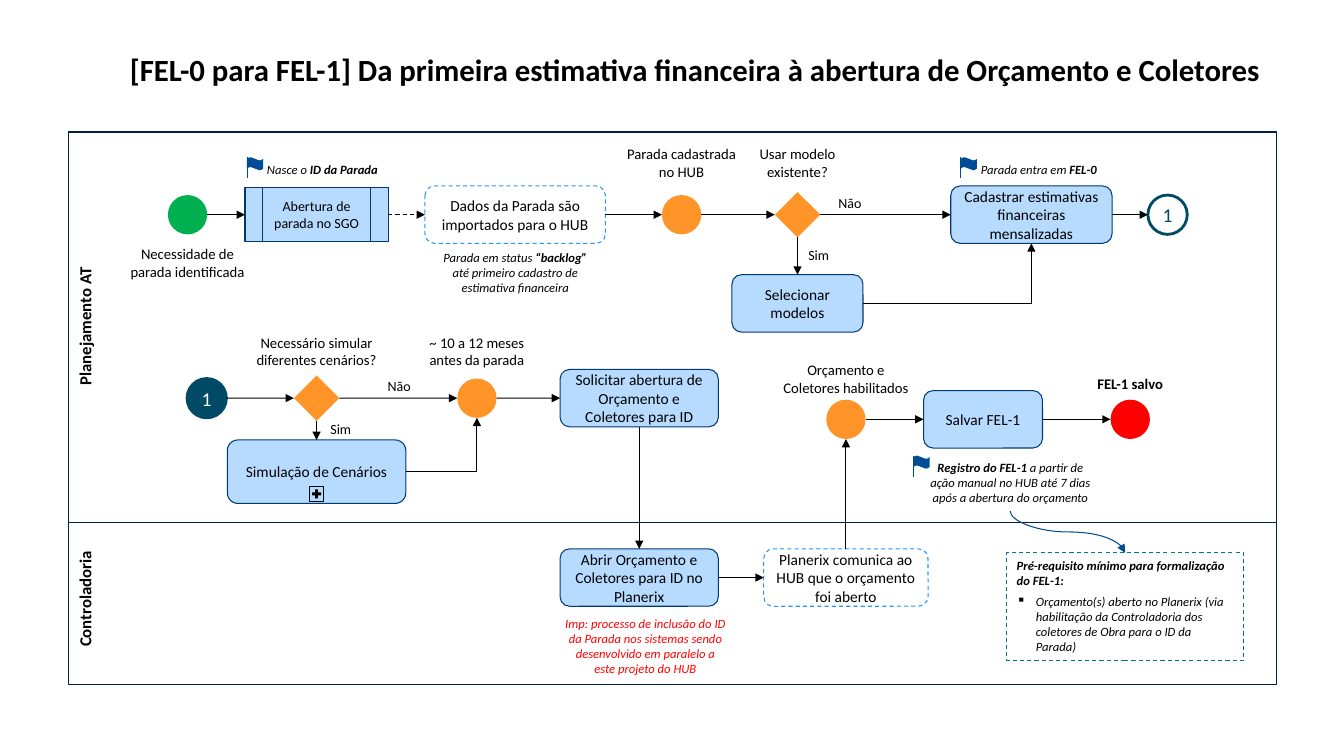
from dataclasses import dataclass
from typing import Any

from lxml.etree import SubElement
from pptx import Presentation
from pptx.dml.color import RGBColor
from pptx.enum.dml import MSO_LINE
from pptx.enum.shapes import MSO_CONNECTOR, MSO_SHAPE
from pptx.enum.text import MSO_ANCHOR, PP_ALIGN
from pptx.oxml.ns import qn
from pptx.util import Inches, Pt

COLORS = {
    "black": "000000", "white": "FFFFFF", "red": "FF0000", "green": "00B050",
    "orange": "FF9529", "task": "B7DBFF", "task line": "003971",
    "automatic line": "2894FF", "lane line": "002142", "page link": "014A65",
    "flag": "004C97", "flag line": "004A94", "requirement line": "03738E",
}
CIRCLE, DIAMOND, TASK_HEIGHT = 0.39, 0.45, 0.57
SIDES = {"top": (0.5, 0), "left": (0, 0.5), "bottom": (0.5, 1), "right": (1, 0.5)}


def color(name):
    return RGBColor.from_string(COLORS[name])


def write(paragraph, runs, size, ink="black", bold=False, italic=False, align=PP_ALIGN.CENTER):
    """Fill a paragraph from a string, or from (text, bold) pairs."""
    paragraph.alignment = align
    font = paragraph.font
    font.name, font.size, font.italic = "Calibri", Pt(size), italic
    font.color.rgb = color(ink)
    if isinstance(runs, str):
        font.bold = bold
        paragraph.add_run().text = runs
        return
    for text, strong in runs:
        run = paragraph.add_run()
        run.text = text
        run.font.bold = strong


def edge(shape, side):
    across, down = SIDES[side]
    return shape.left + int(shape.width * across), shape.top + int(shape.height * down)


def connect(slide, start, end, line="black", kind=MSO_CONNECTOR.STRAIGHT, arrow=True, dash=None):
    connector = slide.shapes.add_connector(kind, *start, *end)
    connector.line.color.rgb = color(line)
    connector.line.width = Pt(0.75)
    if dash:
        connector.line.dash_style = dash
    if arrow:
        SubElement(connector.line._get_or_add_ln(), qn("a:tailEnd"), type="triangle")
    SubElement(connector._element.spPr, qn("a:effectLst"))
    return connector


def link(slide, source, target, leave="right", enter="left", dash=None):
    connect(slide, edge(source, leave), edge(target, enter), dash=dash)


def corner_link(slide, source, target):
    """Go right from the source, then up into the target."""
    connector = connect(slide, edge(source, "right"), edge(target, "bottom"), kind=MSO_CONNECTOR.ELBOW)
    connector._element.spPr.find(qn("a:prstGeom")).set("prst", "bentConnector2")


def curve_link(slide, start, target):
    """Leave downwards and enter the target from above, on an S curve."""
    end = edge(target, "top")
    connector = connect(slide, start, end, "flag line", MSO_CONNECTOR.CURVE)
    width, height = end[0] - start[0], end[1] - start[1]
    connector.left = start[0] + (width - height) // 2
    connector.top = start[1] + (height - width) // 2
    connector.width, connector.height = height, width
    transform = connector._element.spPr.find(qn("a:xfrm"))
    transform.set("rot", "16200000")
    transform.set("flipH", "1")


@dataclass
class Region:
    """A box of the slide; parts are placed in inches from its top left corner."""
    slide: Any
    left: float
    top: float
    width: float
    height: float

    def place(self, x, y):
        return Inches(self.left + x), Inches(self.top + y)

    def shape(self, kind, x, y, width, height, fill=None, line=None, weight=0.75, dash=None):
        """Add a preset shape centred on x, y."""
        shape = self.slide.shapes.add_shape(
            kind, *self.place(x - width / 2, y - height / 2), Inches(width), Inches(height))
        shape.shadow.inherit = False
        if fill:
            shape.fill.solid()
            shape.fill.fore_color.rgb = color(fill)
        else:
            shape.fill.background()
        if line:
            shape.line.color.rgb = color(line)
            shape.line.width = Pt(weight)
            if dash:
                shape.line.dash_style = dash
        else:
            shape.line.fill.background()
        return shape

    def frame(self):
        self.shape(MSO_SHAPE.RECTANGLE, self.width / 2, self.height / 2, self.width, self.height, line="lane line")

    def label(self, runs, x, top, width, height=0.45, size=10.5, anchor=MSO_ANCHOR.TOP, **style):
        """Add a text box centred on x."""
        box = self.slide.shapes.add_textbox(*self.place(x - width / 2, top), Inches(width), Inches(height))
        box.text_frame.word_wrap = True
        box.text_frame.vertical_anchor = anchor
        write(box.text_frame.paragraphs[0], runs, size, **style)
        return box

    def lane_name(self, text, middle):
        self.label(text, 0.16, middle - 0.15, 1.4, 0.3, 12, bold=True).rotation = 270

    def task(self, text, x, y, width, height=TASK_HEIGHT, automatic=False,
             kind=MSO_SHAPE.ROUNDED_RECTANGLE, size=11):
        look = ("white", "automatic line", 0.75, MSO_LINE.DASH) if automatic else ("task", "task line")
        shape = self.shape(kind, x, y, width, height, *look)
        shape.text_frame.word_wrap = True
        shape.text_frame.vertical_anchor = MSO_ANCHOR.MIDDLE
        write(shape.text_frame.paragraphs[0], text, size)
        return shape

    def event(self, x, y, fill="orange"):
        return self.shape(MSO_SHAPE.OVAL, x, y, CIRCLE, CIRCLE, fill)

    def decision(self, x, y):
        return self.shape(MSO_SHAPE.DIAMOND, x, y, DIAMOND, DIAMOND, "orange")

    def page_link(self, x, y, fill, ink):
        shape = self.shape(MSO_SHAPE.OVAL, x, y, CIRCLE, CIRCLE, fill, "page link", 2)
        frame = shape.text_frame
        frame.margin_left = frame.margin_right = frame.margin_top = frame.margin_bottom = 0
        frame.vertical_anchor = MSO_ANCHOR.MIDDLE
        write(frame.paragraphs[0], "1", 14, ink)
        return shape

    def flag(self, x, y):
        self.shape(MSO_SHAPE.WAVE, x + 0.08, y + 0.065, 0.16, 0.13, "flag")
        connect(self.slide, self.place(x, y), self.place(x, y + 0.21), "flag line", arrow=False)


def estimate_flow(region):
    slide, y = region.slide, 0.82
    need = region.event(1.18, y, "green")
    opening = region.task("Abertura de parada no SGO", 2.46, y, 1.42, 0.54,
                          kind=MSO_SHAPE.FLOWCHART_PREDEFINED_PROCESS, size=10)
    imported = region.task("Dados da Parada são importados para o HUB", 4.43, y, 1.79, automatic=True)
    registered = region.event(6.08, y)
    model = region.decision(7.23, y)
    estimates = region.task("Cadastrar estimativas financeiras mensalizadas", 9.55, y, 1.6)
    following = region.page_link(10.9, y, "white", "page link")
    selection = region.task("Selecionar modelos", 7.23, 1.7, 1.3)
    link(slide, need, opening)
    link(slide, opening, imported, dash=MSO_LINE.DASH)
    steps = [imported, registered, model, estimates, following]
    for source, target in zip(steps, steps[1:]):
        link(slide, source, target)
    link(slide, model, selection, "bottom", "top")
    corner_link(slide, selection, estimates)
    region.label("Necessidade de parada identificada", 1.18, 1.07, 1.4)
    region.label("Parada cadastrada no HUB", 6.08, 0.08, 1.4)
    region.label("Usar modelo existente?", 7.23, 0.08, 1.05)
    region.label("Não", 7.75, 0.57, 0.54, 0.27, 10)
    region.label("Sim", 7.44, 1.09, 0.54, 0.27, 10)
    region.label([("Parada em status ", False), ("“backlog” ", True),
                  ("até primeiro cadastro de estimativa financeira", False)],
                 4.43, 1.12, 1.79, 0.56, 9, italic=True)
    for x, start, name in ((1.77, "Nasce o ", "ID da Parada"), (8.85, "Parada entra em ", "FEL-0")):
        region.flag(x, 0.25)
        region.label([(start, False), (name, True)], x + 0.8, 0.25, 1.4, 0.25, 9,
                     italic=True, align=PP_ALIGN.LEFT)


def budget_flow(region):
    """Return the steps that exchange arrows with the lane below."""
    slide, y, saving_y = region.slide, 0.69, 0.9
    previous = region.page_link(1.37, y, "page link", "white")
    scenarios = region.decision(2.46, y)
    months = region.event(4.05, y)
    request = region.task("Solicitar abertura de Orçamento e Coletores para ID", 5.66, y, 1.57)
    simulation = region.task("Simulação de Cenários", 2.46, 1.42, 1.77, 0.63)
    region.shape(MSO_SHAPE.MATH_PLUS, 2.46, 1.64, 0.12, 0.12, "black")
    region.shape(MSO_SHAPE.RECTANGLE, 2.46, 1.64, 0.14, 0.14, line="black", weight=0.5)
    enabled = region.event(7.71, saving_y)
    saving = region.task("Salvar FEL-1", 9.07, saving_y, 1.18)
    saved = region.event(10.53, saving_y, "red")
    for steps in ([previous, scenarios, months, request], [enabled, saving, saved]):
        for source, target in zip(steps, steps[1:]):
            link(slide, source, target)
    link(slide, scenarios, simulation, "bottom", "top")
    corner_link(slide, simulation, months)
    region.label("Necessário simular diferentes cenários?", 2.46, 0, 1.54)
    region.label("~ 10 a 12 meses antes da parada", 4.05, 0, 1.16)
    region.label("Sim", 2.7, 0.86, 0.54, 0.25, 10)
    region.label("Não", 3.28, 0.44, 0.54, 0.27, 10)
    region.label("Orçamento e Coletores habilitados", 7.71, 0.27, 1.54)
    region.label("FEL-1 salvo", 10.53, 0.41, 1.16, 0.28, bold=True)
    region.flag(8.38, 1.26)
    note = region.label([("Registro do FEL-1 ", True),
                         ("a partir de ação manual no HUB até 7 dias após a abertura do orçamento", False)],
                        9.34, 1.25, 1.87, 0.56, 9, italic=True)
    return request, enabled, note


def requirement(region):
    shape = region.shape(MSO_SHAPE.RECTANGLE, 10.48, 0.84, 2.35, 1.07,
                         line="requirement line", dash=MSO_LINE.DASH)
    frame = shape.text_frame
    frame.word_wrap = True
    frame.vertical_anchor = MSO_ANCHOR.TOP
    write(frame.paragraphs[0], "Pré-requisito mínimo para formalização do FEL-1:", 9,
          bold=True, italic=True, align=PP_ALIGN.LEFT)
    item = frame.add_paragraph()
    item.space_before = Pt(4)
    properties = item._p.get_or_add_pPr()
    properties.set("marL", str(Inches(0.19)))
    properties.set("indent", str(-Inches(0.19)))
    SubElement(properties, qn("a:buChar"), char="▪")
    write(item, "Orçamento(s) aberto no Planerix (via habilitação da Controladoria dos "
          "coletores de Obra para o ID da Parada)", 9, italic=True, align=PP_ALIGN.LEFT)
    return shape


def controller_flow(region, request, enabled, note):
    slide, y = region.slide, 0.55
    opening = region.task("Abrir Orçamento e Coletores para ID no Planerix", 5.66, y, 1.57)
    notice = region.task("Planerix comunica ao HUB que o orçamento foi aberto", 7.71, y, 1.63, automatic=True)
    link(slide, request, opening, "bottom", "top")
    link(slide, opening, notice)
    link(slide, notice, enabled, "top", "bottom")
    region.label("Imp: processo de inclusão do ID da Parada nos sistemas sendo desenvolvido em "
                 "paralelo a este projeto do HUB", 5.72, 0.88, 1.79, 0.71, 9, ink="red", italic=True)
    curve_link(slide, edge(note, "bottom"), requirement(region))


def main():
    presentation = Presentation()
    presentation.slide_width, presentation.slide_height = Inches(13.33), Inches(7.5)
    slide = presentation.slides.add_slide(presentation.slide_layouts[6])
    header = Region(slide, 1.19, 0.33, 11.85, 0.71)
    header.label("[FEL-0 para FEL-1] Da primeira estimativa financeira à abertura de Orçamento e Coletores",
                 header.width / 2, 0, header.width, header.height, 22, MSO_ANCHOR.MIDDLE,
                 bold=True, align=PP_ALIGN.LEFT)
    planning = Region(slide, 0.68, 1.31, 11.98, 3.87)
    controller = Region(slide, 0.68, 5.18, 11.98, 1.61)
    for lane, name, middle in ((planning, "Planejamento AT", 1.93), (controller, "Controladoria", 0.76)):
        lane.frame()
        lane.lane_name(name, middle)
    estimate_flow(Region(slide, 0.68, 1.31, 11.98, 1.95))
    crossing = budget_flow(Region(slide, 0.68, 3.26, 11.98, 1.92))
    controller_flow(controller, *crossing)
    presentation.save("out.pptx")


if __name__ == "__main__":
    main()
